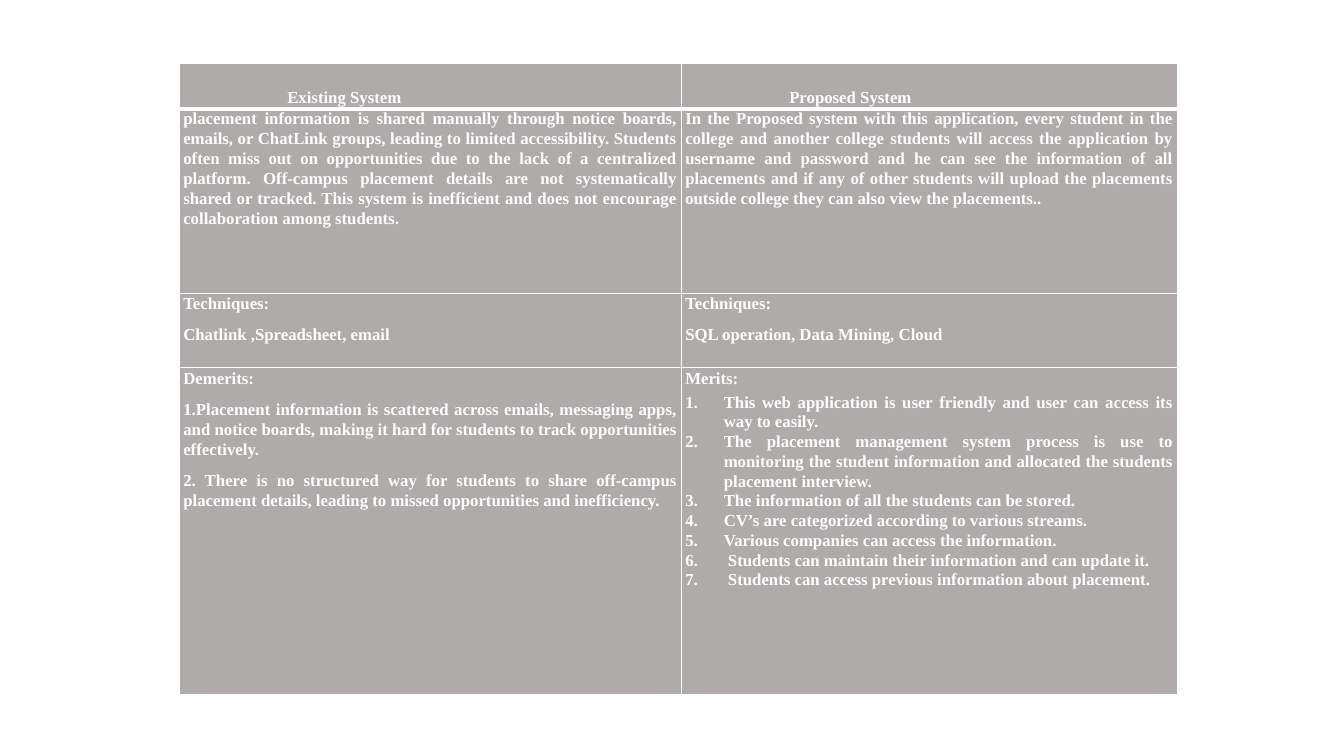
from lxml import etree
from pptx import Presentation
from pptx.dml.color import RGBColor
from pptx.enum.text import PP_ALIGN
from pptx.oxml.ns import qn
from pptx.util import Cm, Pt

LEFT = PP_ALIGN.LEFT
JUSTIFY = PP_ALIGN.JUSTIFY
WHITE = RGBColor(0xFF, 0xFF, 0xFF)
GREY = RGBColor(0xAF, 0xAB, 0xAB)

COLUMN_WIDTHS = [12.65, 12.5]
ROW_HEIGHTS = [1.14, 4.65, 1.88, 8.23]

HEADING = {"alignment": LEFT, "line_spacing": 1.07, "space_after": Pt(8)}
BODY = HEADING | {"alignment": JUSTIFY}
MERITS_TITLE = BODY | {"space_after": Pt(3)}
MERIT = BODY | {"line_spacing": 1.06, "space_after": Pt(0)}

MERITS = [
    "This web application is user friendly and user can access its way to easily.",
    "The placement management system process is use to monitoring the student "
    "information and allocated the students placement interview.",
    "The information of all the students can be stored.",
    "CV’s are categorized according to various streams.",
    "Various companies can access the information.",
    " Students can maintain their information and can update it.",
    " Students can access previous information about placement.",
]

COMPARISON = [
    [
        [("Existing System", HEADING)],
        [("Proposed System", HEADING)],
    ],
    [
        [("placement information is shared manually through notice boards, emails, or "
          "ChatLink groups, leading to limited accessibility. Students often miss out on "
          "opportunities due to the lack of a centralized platform. Off-campus placement "
          "details are not systematically shared or tracked. This system is inefficient "
          "and does not encourage collaboration among students.", BODY)],
        [("In the Proposed system with this application, every student in the college and "
          "another college students will access the application by username and password "
          "and he can see the information of all placements and if any of other students "
          "will upload the placements outside college they can also view the "
          "placements..", BODY)],
    ],
    [
        [("Techniques:", BODY), ("Chatlink ,Spreadsheet, email", BODY)],
        [("Techniques:", BODY), ("SQL operation, Data Mining, Cloud", BODY)],
    ],
    [
        [("Demerits:", BODY),
         ("1.Placement information is scattered across emails, messaging apps, and notice "
          "boards, making it hard for students to track opportunities effectively.", BODY),
         ("2. There is no structured way for students to share off-campus placement "
          "details, leading to missed opportunities and inefficiency.", BODY)],
        [("Merits:", MERITS_TITLE)] + [(merit, MERIT) for merit in MERITS],
    ],
]


class ComparisonSlide:
    font_format = {"name": "Times New Roman", "size": Pt(12), "bold": True}
    cell_format = {"margin_left": Cm(0.1), "margin_right": Cm(0.1),
                   "margin_top": Cm(0), "margin_bottom": Cm(0)}
    heading_format = cell_format | {"margin_left": Cm(2.72), "margin_top": Cm(0.6)}
    plain_table = {"first_row": False, "horz_banding": False}

    def __init__(self, deck):
        self.slide = deck.slides.add_slide(deck.slide_layouts[6])

    def apply(self, target, values):
        for name, value in values.items():
            setattr(target, name, value)

    def table(self, left, top, widths, heights, content):
        grid = self.slide.shapes.add_table(
            len(heights), len(widths), Cm(left), Cm(top),
            Cm(sum(widths)), Cm(sum(heights))).table
        self.apply(grid, self.plain_table)
        for column, width in zip(grid.columns, widths):
            column.width = Cm(width)
        for row, height in zip(grid.rows, heights):
            row.height = Cm(height)
        for row_index, row_content in enumerate(content):
            for column_index, paragraphs in enumerate(row_content):
                self.cell(grid.cell(row_index, column_index), row_index, paragraphs)

    def cell(self, cell, row_index, paragraphs):
        self.apply(cell, self.cell_format if row_index else self.heading_format)
        cell.fill.solid()
        cell.fill.fore_color.rgb = GREY
        self.borders(cell, {"lnL": 1, "lnR": 1,
                            "lnT": 3 if row_index == 1 else 1,
                            "lnB": 3 if row_index == 0 else 1})
        frame = cell.text_frame
        for index, (text, style) in enumerate(paragraphs):
            paragraph = frame.add_paragraph() if index else frame.paragraphs[0]
            self.paragraph(paragraph, text, style)

    def borders(self, cell, widths):
        properties = cell._tc.get_or_add_tcPr()
        for index, (side, width) in enumerate(widths.items()):
            line = etree.Element(qn(f"a:{side}"), w=str(Pt(width)))
            fill = etree.SubElement(line, qn("a:solidFill"))
            etree.SubElement(fill, qn("a:srgbClr"), val=str(WHITE))
            properties.insert(index, line)

    def paragraph(self, paragraph, text, style):
        self.apply(paragraph, style)
        run = paragraph.add_run()
        run.text = text
        for font in (paragraph.font, run.font):
            self.apply(font, self.font_format)
            font.color.rgb = WHITE
        if style is MERIT:
            self.number(paragraph)

    def number(self, paragraph):
        properties = paragraph._p.get_or_add_pPr()
        properties.set("marL", str(Cm(0.97)))
        properties.set("indent", str(Cm(-0.97)))
        numbering = etree.Element(qn("a:buAutoNum"), type="arabicPeriod")
        properties.find(qn("a:spcAft")).addnext(numbering)


def main():
    deck = Presentation()
    deck.slide_width = Cm(33.87)
    deck.slide_height = Cm(19.05)
    slide = ComparisonSlide(deck)
    slide.table(4.52, 1.6, COLUMN_WIDTHS, ROW_HEIGHTS, COMPARISON)
    deck.save("out.pptx")


if __name__ == "__main__":
    main()
